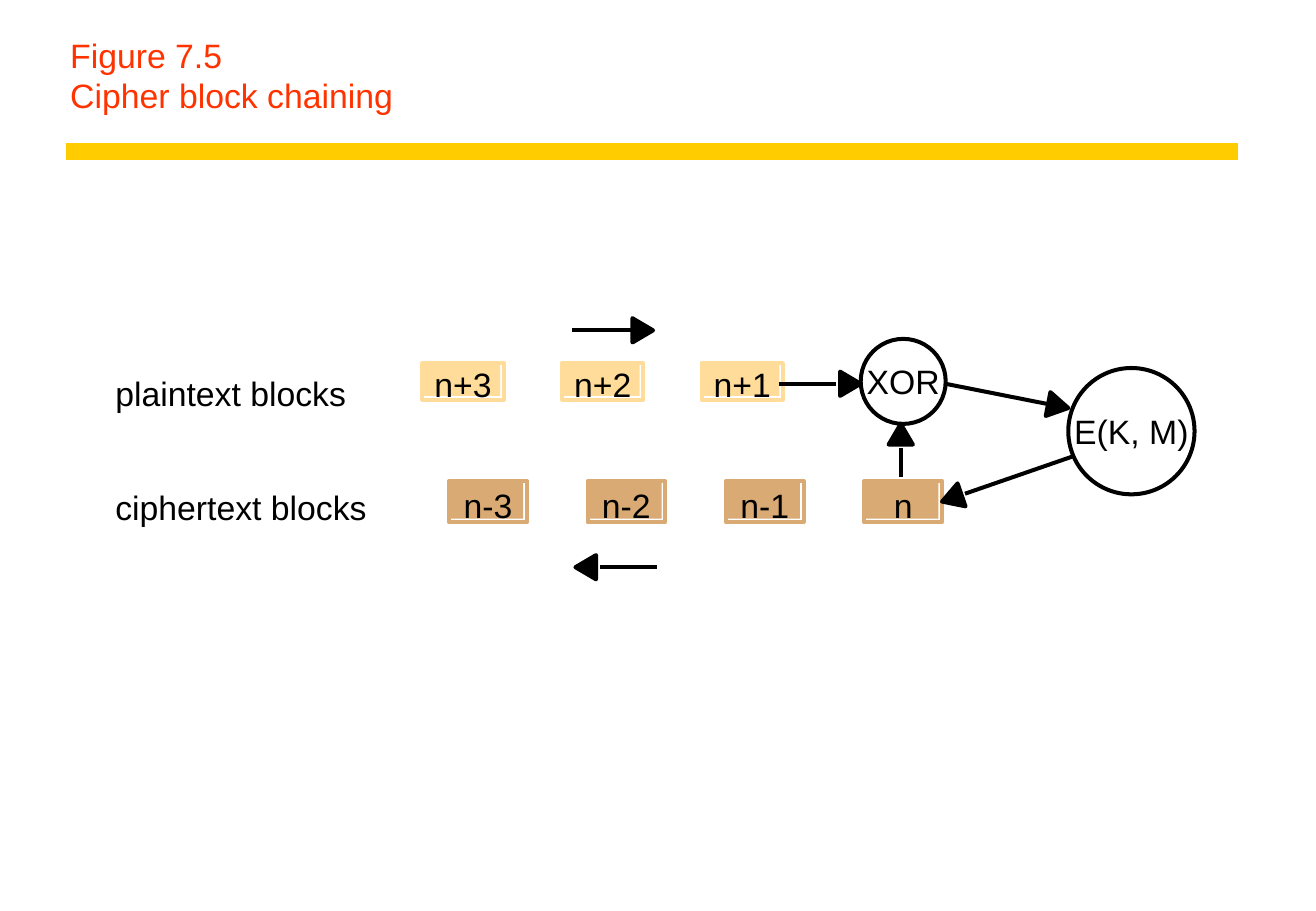
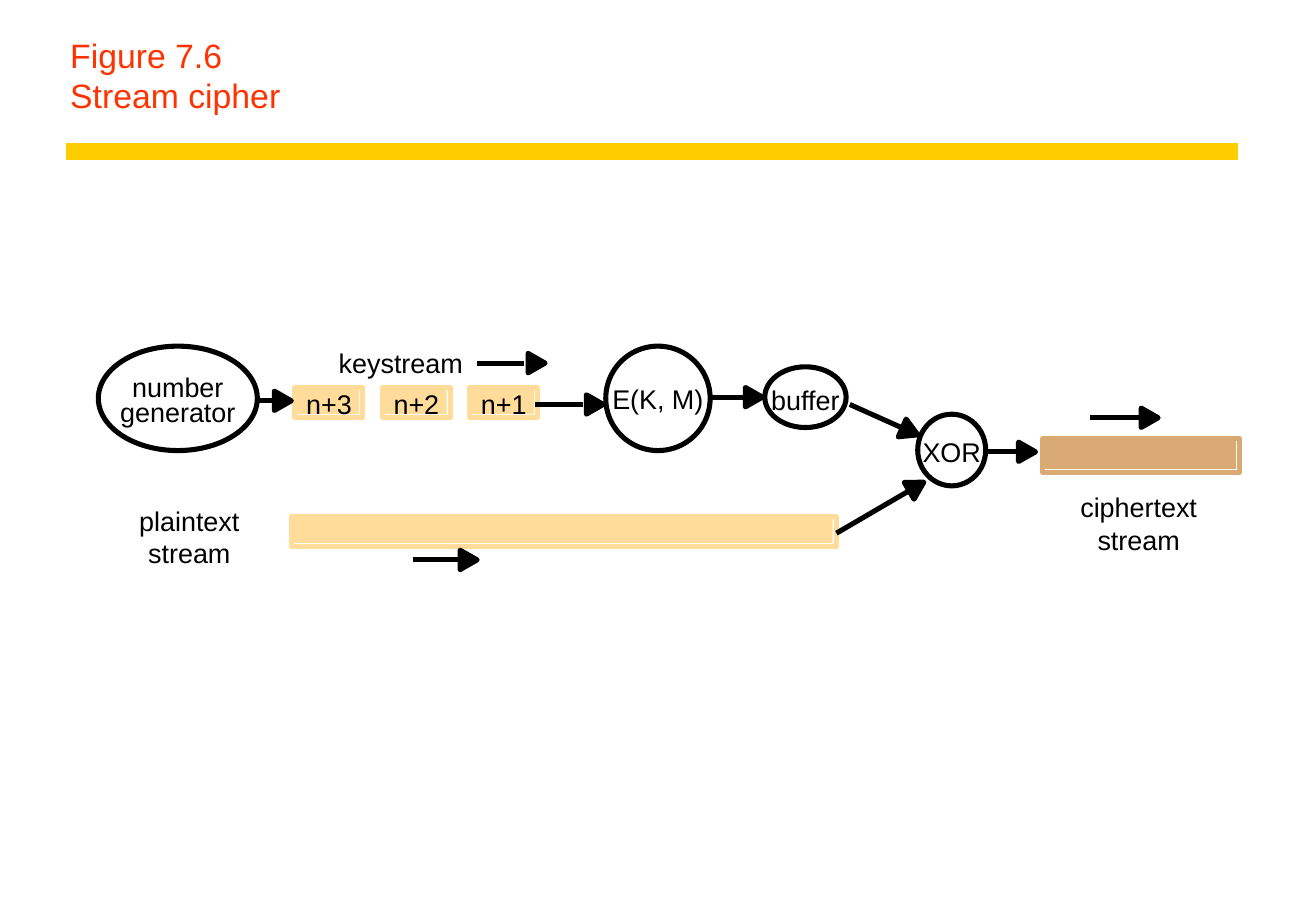
"""Build two slides on chained block ciphers and stream ciphers."""
from math import hypot

from lxml import etree
from pptx import Presentation
from pptx.dml.color import RGBColor
from pptx.enum.shapes import MSO_CONNECTOR, MSO_SHAPE
from pptx.enum.text import MSO_ANCHOR, PP_ALIGN
from pptx.oxml.ns import qn
from pptx.util import Inches, Pt

STRAIGHT = MSO_CONNECTOR.STRAIGHT
RECTANGLE, OVAL = MSO_SHAPE.RECTANGLE, MSO_SHAPE.OVAL
TOP, MIDDLE, BOTTOM = MSO_ANCHOR.TOP, MSO_ANCHOR.MIDDLE, MSO_ANCHOR.BOTTOM
LEFT, CENTER = PP_ALIGN.LEFT, PP_ALIGN.CENTER

FONT = "Arial"
INK, TITLE_RED, BAND_GOLD = "000000", "FF3300", "FFCC00"
PLAIN, CIPHER = "FFDC99", "D9AA73"
EDGE = 0.03

FIGURES = [
    {
        "title": "Figure 7.5\vCipher block chaining",
        "size": 20, "stroke": 2.38, "head": (0.17, 0.1), "drop": 0.05,
        "rows": [
            (["n+3", "n+2", "n+1"], 3.48, 1.15, (2.99, 0.67, 0.3), PLAIN),
            (["n-3", "n-2", "n-1", "n"], 3.7, 1.14, (3.96, 0.64, 0.34), CIPHER),
        ],
        "nodes": [
            ("XOR", (7.09, 2.79, 0.7, 0.7), 0, None),
            ("E(K, M)", (8.8, 3.03, 1.04, 1.04), 0, None),
        ],
        "arrows": [
            ((4.71, 2.72), (5.38, 2.72), 0),
            ((6.42, 3.16), (7.09, 3.16), EDGE),
            ((7.42, 3.93), (7.42, 3.49), EDGE),
            ((7.79, 3.16), (8.8, 3.36), 0),
            ((8.83, 3.76), (7.76, 4.13), EDGE),
            ((5.41, 4.67), (4.74, 4.67), EDGE),
        ],
        "labels": [
            ("plaintext blocks", (0.95, 3.07, 2.2, 0.33), LEFT),
            ("ciphertext blocks", (0.95, 4.01, 2.2, 0.33), LEFT),
        ],
    },
    {
        "title": "Figure 7.6\vStream cipher",
        "size": 16, "stroke": 3, "head": (0.14, 0.08), "drop": 0.02,
        "rows": [
            (["n+3", "n+2", "n+1"], 2.43, 0.72, (3.19, 0.56, 0.25), PLAIN),
            ([""], 2.4, 0, (4.25, 4.49, 0.25), PLAIN),
            ([""], 8.59, 0, (3.61, 1.62, 0.28), CIPHER),
        ],
        "nodes": [
            ("number\vgenerator", (0.81, 2.85, 1.31, 0.86), 0.07, 15),
            ("E(K, M)", (4.99, 2.85, 0.86, 0.86), 0.01, None),
            ("buffer", (6.3, 3.02, 0.67, 0.5), 0.05, None),
            ("XOR", (7.56, 3.41, 0.56, 0.59), 0.02, None),
        ],
        "arrows": [
            ((2.12, 3.3), (2.4, 3.3), 0),
            ((3.93, 2.99), (4.49, 2.99), EDGE),
            ((4.41, 3.33), (4.97, 3.33), EDGE),
            ((5.86, 3.27), (6.28, 3.27), 0),
            ((7, 3.33), (7.56, 3.58), 0),
            ((6.89, 4.39), (7.61, 3.97), 0),
            ((8.14, 3.72), (8.53, 3.72), 0),
            ((8.98, 3.44), (9.54, 3.44), 0),
            ((3.4, 4.61), (3.93, 4.61), 0),
        ],
        "labels": [
            ("keystream", (2.79, 2.85, 1.08, 0.27), LEFT),
            ("plaintext\vstream", (1.01, 4.15, 1.1, 0.52), CENTER),
            ("ciphertext\vstream", (8.83, 4.04, 1.1, 0.52), CENTER),
        ],
    },
]


def color(hex_code):
    return RGBColor.from_string(hex_code)


def write(shape, text, size, ink=INK, align=CENTER, anchor=MIDDLE,
          margins=(0, 0, 0, 0), spacing=None, wrap=False):
    frame = shape.text_frame
    frame.text = text
    frame.word_wrap, frame.vertical_anchor = wrap, anchor
    (frame.margin_left, frame.margin_top,
     frame.margin_right, frame.margin_bottom) = map(Inches, margins)
    paragraph = frame.paragraphs[0]
    paragraph.alignment = align
    if spacing:
        paragraph.line_spacing = Pt(spacing)
    for run in paragraph.runs:
        run.font.name, run.font.size = FONT, Pt(size)
        run.font.color.rgb = color(ink)


def paint(shape, fill=None, line=None, width=0):
    shape.shadow.inherit = False
    if fill:
        shape.fill.solid()
        shape.fill.fore_color.rgb = color(fill)
    else:
        shape.fill.background()
    if line:
        shape.line.color.rgb = color(line)
        shape.line.width = Pt(width)
    else:
        shape.line.fill.background()


def add_outline(slide, kind, box, fill=None, line=None, width=0):
    shape = slide.shapes.add_shape(kind, *map(Inches, box))
    paint(shape, fill, line, width)
    return shape


def add_line(slide, start, end, ink, width):
    line = slide.shapes.add_connector(STRAIGHT, *map(Inches, start + end))
    line.line.color.rgb = color(ink)
    line.line.width = Pt(width)
    etree.SubElement(line._element.spPr, qn("a:effectLst"))


def add_arrow(slide, start, tip, gap, head, stroke):
    length, half = head
    dx, dy = tip[0] - start[0], tip[1] - start[1]
    reach = hypot(dx, dy)
    ux, uy = dx / reach, dy / reach
    base = (tip[0] - length * ux, tip[1] - length * uy)
    shaft_end = (base[0] - gap * ux, base[1] - gap * uy)
    add_line(slide, start, shaft_end, INK, stroke)
    corners = [tip] + [(base[0] - side * uy, base[1] + side * ux)
                       for side in (half, -half)]
    points = [(Inches(x), Inches(y)) for x, y in corners]
    builder = slide.shapes.build_freeform(*points[0])
    builder.add_line_segments(points[1:], close=True)
    paint(builder.convert_to_shape(), INK, INK, stroke)


def add_block_row(slide, row, figure):
    names, first, pitch, (top, width, height), tint = row
    for index, name in enumerate(names):
        left = first + index * pitch
        add_outline(slide, RECTANGLE,
                    (left, top, width - EDGE, height - EDGE), fill=tint)
        block = add_outline(slide, RECTANGLE, (left, top, width, height),
                            line=tint, width=figure["stroke"])
        if name:
            write(block, name, figure["size"],
                  margins=(0, figure["drop"], 0, 0))


def add_heading(slide, title):
    add_line(slide, (0.54, 1.25), (10.2, 1.25), BAND_GOLD, 10)
    heading = slide.shapes.add_textbox(*map(Inches, (0.48, 0.25, 9.72, 0.75)))
    write(heading, title, 20, TITLE_RED, LEFT, BOTTOM,
          (0.1, 0.05, 0.1, 0.05), wrap=True)


def add_figure(slide, figure):
    add_heading(slide, figure["title"])
    size, stroke = figure["size"], figure["stroke"]
    for row in figure["rows"]:
        add_block_row(slide, row, figure)
    for name, box, drop, spacing in figure["nodes"]:
        node = add_outline(slide, OVAL, box, line=INK, width=stroke)
        write(node, name, size, margins=(0, drop, 0, 0), spacing=spacing)
    for start, tip, gap in figure["arrows"]:
        add_arrow(slide, start, tip, gap, figure["head"], stroke)
    for text, box, align in figure["labels"]:
        label = slide.shapes.add_textbox(*map(Inches, box))
        write(label, text, size, align=align, anchor=TOP, wrap=True)


def main():
    deck = Presentation()
    deck.slide_width, deck.slide_height = Inches(10.84), Inches(7.5)
    for figure in FIGURES:
        add_figure(deck.slides.add_slide(deck.slide_layouts[6]), figure)
    deck.save("out.pptx")


if __name__ == "__main__":
    main()
